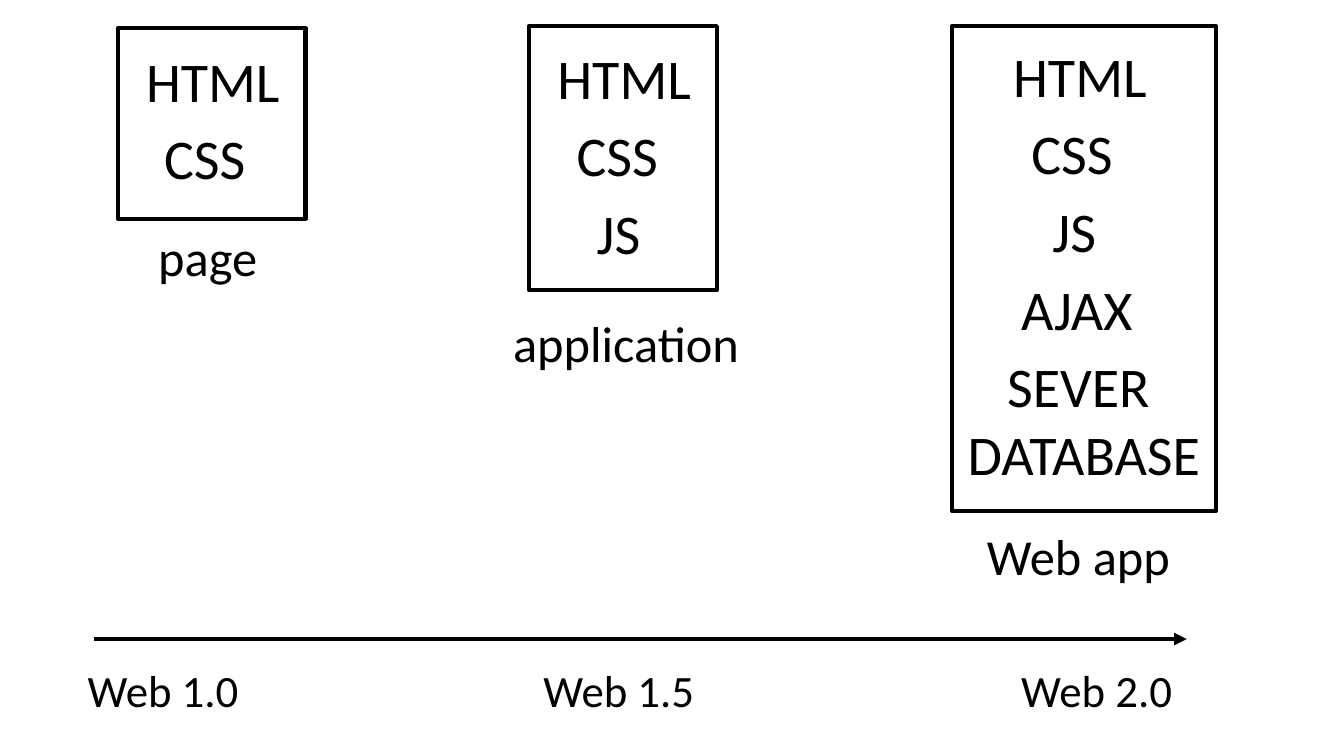
from dataclasses import dataclass

from lxml import etree
from pptx import Presentation
from pptx.dml.color import RGBColor
from pptx.enum.shapes import MSO_CONNECTOR, MSO_SHAPE
from pptx.enum.text import MSO_AUTO_SIZE
from pptx.oxml.ns import qn
from pptx.util import Inches, Pt

RECTANGLE = MSO_SHAPE.RECTANGLE
STRAIGHT = MSO_CONNECTOR.STRAIGHT
GROW = MSO_AUTO_SIZE.SHAPE_TO_FIT_TEXT


@dataclass(frozen=True)
class Theme:
    """Colours, font and sizes of the slide."""
    ink: RGBColor = RGBColor(0, 0, 0)
    paper: RGBColor = RGBColor(255, 255, 255)
    font: str = "Calibri"
    technology: int = 40
    caption: int = 36
    version: int = 32
    stroke: int = 3


THEME = Theme()
LINE_PITCH = 0.77

# Each technology: text, left offset in the frame, width, optional tight line spacing.
# Each caption: text, left and top offset from the frame, width.
STAGES = [
    dict(box=(1.17, 0.28, 1.86, 1.89), first_top=0.13,
         technologies=[("HTML", 0.18, 1.68), ("CSS", 0.36, 1.68)],
         caption=("page", 0.3, 1.91, 1.28)),
    dict(box=(5.25, 0.26, 1.86, 2.62), first_top=0.12,
         technologies=[("HTML", 0.18, 1.68), ("CSS", 0.37, 1.68), ("JS", 0.57, 0.67)],
         caption=("application", -0.26, 2.79, 2.57)),
    dict(box=(9.44, 0.26, 2.62, 4.81), first_top=0.1,
         technologies=[("HTML", 0.51, 1.68), ("CSS", 0.69, 1.29), ("JS", 0.9, 0.73),
                       ("AJAX", 0.59, 1.39), ("SEVER", 0.45, 1.63),
                       ("DATABASE", 0.06, 3.13, 35)],
         caption=("Web app", 0.25, 4.9, 2.57)),
]
VERSIONS = [("Web 1.0", 0), ("Web 1.5", 4.52), ("Web 2.0", 9.26)]


def add_text(shapes, text, left, top, width, height, size, line_spacing=None):
    """Add one left-aligned line of text."""
    shape = shapes.add_textbox(Inches(left), Inches(top), Inches(width), Inches(height))
    frame = shape.text_frame
    frame.word_wrap = True
    frame.auto_size = GROW
    paragraph = frame.paragraphs[0]
    if line_spacing:
        paragraph.line_spacing = Pt(line_spacing)
    run = paragraph.add_run()
    run.text = text
    run.font.name = THEME.font
    run.font.size = Pt(size)
    run.font.color.rgb = THEME.ink


def style_line(line):
    """Give an outline or connector the common stroke."""
    line.color.rgb = THEME.ink
    line.width = Pt(THEME.stroke)


def add_stage(slide, box, first_top, technologies, caption):
    """Add a framed stack of technologies with its caption as a group."""
    left, top, width, height = box
    shapes = slide.shapes.add_group_shape().shapes
    frame = shapes.add_shape(RECTANGLE, *map(Inches, box))
    frame.shadow.inherit = False
    frame.fill.solid()
    frame.fill.fore_color.rgb = THEME.paper
    style_line(frame.line)
    for row, (text, offset, text_width, *spacing) in enumerate(technologies):
        line_top = top + first_top + row * LINE_PITCH
        line_height = LINE_PITCH
        if spacing:
            line_top, line_height = line_top + 0.08, 0.62
        add_text(shapes, text, left + offset, line_top, text_width, line_height,
                 THEME.technology, *spacing)
    text, offset, drop, text_width = caption
    add_text(shapes, text, left + offset, top + drop, text_width, 0.71, THEME.caption)


def add_timeline(slide, box, versions):
    """Add the version labels and the arrow along the top of the box."""
    left, top, width, height = box
    for text, offset in versions:
        add_text(slide.shapes, text, left + offset, top + 0.19, 1.74, height - 0.19,
                 THEME.version)
    arrow = slide.shapes.add_connector(STRAIGHT, Inches(left + 0.16), Inches(top),
                                       Inches(left + width), Inches(top))
    style_line(arrow.line)
    etree.SubElement(arrow.line._get_or_add_ln(), qn("a:tailEnd"), type="triangle")
    etree.SubElement(arrow._element.spPr, qn("a:effectLst"))


def build():
    """Build and save the slide."""
    presentation = Presentation()
    presentation.slide_width = Inches(13.33)
    presentation.slide_height = Inches(7.5)
    slide = presentation.slides.add_slide(presentation.slide_layouts[6])
    for stage in STAGES:
        add_stage(slide, **stage)
    add_timeline(slide, (0.77, 6.34, 11, 0.83), VERSIONS)
    presentation.save("out.pptx")


build()
